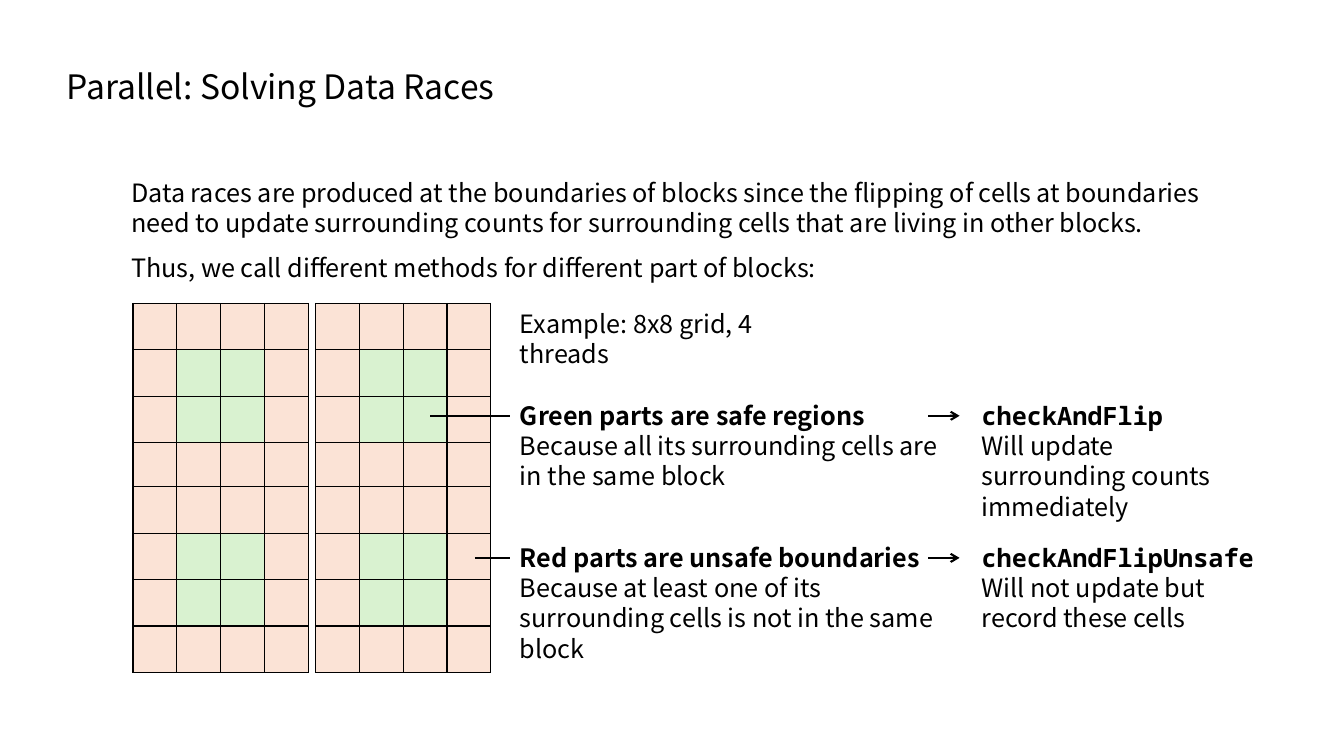
from itertools import product

from lxml.etree import SubElement
from pptx import Presentation
from pptx.dml.color import RGBColor
from pptx.enum.shapes import MSO_CONNECTOR
from pptx.enum.text import MSO_ANCHOR, MSO_AUTO_SIZE, PP_ALIGN
from pptx.oxml.ns import qn
from pptx.util import Inches, Pt

COLS, ROWS = 80, 45
BLACK, RED, GREEN = "000000", "FBE3D6", "D9F2D0"
SANS, MONO = "Noto Sans CJK SC", "Noto Sans Mono"


def rgb(value):
    """Turn a hex string into a colour."""
    return RGBColor.from_string(value)


def write(p, text, size=18, font=SANS, bold=False, color=BLACK, after=0):
    """Write one formatted run into a paragraph."""
    p.alignment = PP_ALIGN.LEFT
    p.line_spacing = Pt(1.2 * size)
    p.space_before, p.space_after = Pt(0), Pt(after)
    r = p.add_run()
    r.text = text
    r.font.name, r.font.size, r.font.bold = font, Pt(size), bold
    r.font.color.rgb = rgb(color)


class Deck:
    """Hold the slide and draw on its grid of columns and rows."""

    def __init__(self):
        """Open a wide presentation with one title and body slide."""
        self.prs = Presentation()
        self.prs.slide_width, self.prs.slide_height = Inches(13.33), Inches(7.5)
        self.s = self.prs.slides.add_slide(self.prs.slide_layouts[1])

    def x(self, cols):
        """Convert columns to a length."""
        return round(self.prs.slide_width * cols / COLS)

    def y(self, rows):
        """Convert rows to a length."""
        return round(self.prs.slide_height * rows / ROWS)

    def box(self, left, top, width, height):
        """Convert a grid rectangle to lengths."""
        return self.x(left), self.y(top), self.x(width), self.y(height)

    def fill(self, sp, lines):
        """Write lines of text, each with its format, into a shape."""
        tf = sp.text_frame
        tf.word_wrap = True
        tf.auto_size = MSO_AUTO_SIZE.NONE
        tf.vertical_anchor = MSO_ANCHOR.TOP
        for i, (text, style) in enumerate(lines):
            p = tf.paragraphs[0] if i == 0 else tf.add_paragraph()
            write(p, text, **style)
        return tf

    def placeholder(self, index, area, lines):
        """Move a template placeholder and fill it without bullets."""
        sp = self.s.placeholders[index]
        sp.left, sp.top, sp.width, sp.height = self.box(*area)
        for p in self.fill(sp, lines).paragraphs:
            pPr = p._p.get_or_add_pPr()
            pPr.set("marL", "0")
            pPr.set("indent", "0")
            SubElement(pPr, qn("a:buNone"))

    def text(self, area, *lines):
        """Add a text box."""
        self.fill(self.s.shapes.add_textbox(*self.box(*area)), lines)

    def line(self, start, end, row, arrow=False):
        """Add a level line, with an arrowhead if wanted."""
        c = self.s.shapes.add_connector(
            MSO_CONNECTOR.STRAIGHT, self.x(start), self.y(row), self.x(end), self.y(row))
        c.line.color.rgb, c.line.width = rgb(BLACK), Pt(1.5)
        if arrow:
            SubElement(c.line._get_or_add_ln(), qn("a:tailEnd"), type="arrow")
        SubElement(c._element.spPr, qn("a:effectLst"))

    def block(self, left, top, n=4, width=2.61, height=2.76):
        """Add a block of cells, green inside and red at the boundary."""
        area = self.box(left, top, n * width, n * height)
        table = self.s.shapes.add_table(n, n, *area).table
        table.first_row = table.horz_banding = False
        for i in range(n):
            table.columns[i].width, table.rows[i].height = self.x(width), self.y(height)
        for i, j in product(range(n), repeat=2):
            cell = table.cell(i, j)
            tcPr = cell._tc.get_or_add_tcPr()
            for side in "LRTB":
                ln = SubElement(tcPr, qn(f"a:ln{side}"), w=str(Pt(1)))
                SubElement(SubElement(ln, qn("a:solidFill")), qn("a:srgbClr"), val=BLACK)
            cell.fill.solid()
            inside = 0 < i < n - 1 and 0 < j < n - 1
            cell.fill.fore_color.rgb = rgb(GREEN if inside else RED)


def main():
    """Build the slide and save it."""
    deck = Deck()
    deck.placeholder(0, (3.36, 3.6, 46.2, 3), [("Parallel: Solving Data Races", {"size": 24})])
    deck.placeholder(1, (7.2, 10.26, 65.64, 6.9), [
        ("Data races are produced at the boundaries of blocks since the flipping of cells at "
         "boundaries need to update surrounding counts for surrounding cells that are living "
         "in other blocks.", {"after": 10}),
        ("Thus, we call different methods for different part of blocks:", {"after": 10})])
    for i, j in product(range(2), repeat=2):
        deck.block(7.92 + 10.86 * j, 18.06 + 10.92 * i)
    deck.text((30.36, 18.06, 19.5, 2.4), ("Example: 8x8 grid, 4 threads", {}))
    regions = [
        (23.52, 25.62, "Green parts are safe regions",
         "Because all its surrounding cells are in the same block",
         "checkAndFlip", "Will update surrounding counts immediately"),
        (31.98, 28.26, "Red parts are unsafe boundaries",
         "Because at least one of its surrounding cells is not in the same block",
         "checkAndFlipUnsafe", "Will not update but record these cells")]
    for top, start, region, reason, method, effect in regions:
        deck.line(start, 30.36, top + 1.23)
        deck.text((30.36, top, 27.48, 6.06), (region, {"bold": True}), (reason, {}))
        deck.line(55.26, 57.12, top + 1.23, arrow=True)
        deck.text((57.84, top, 17.46, 6.06),
                  (method, {"font": MONO, "bold": True}), (effect, {}))
    deck.prs.save("out.pptx")


if __name__ == "__main__":
    main()
